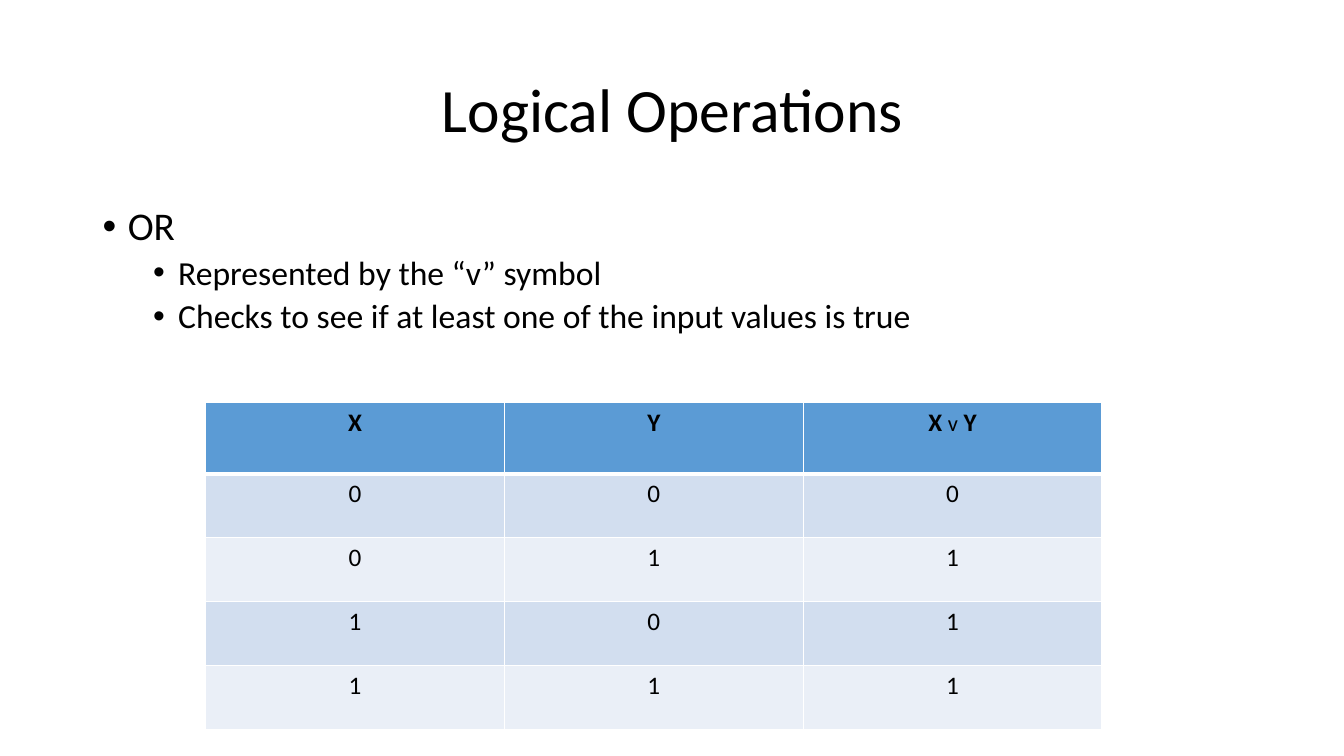
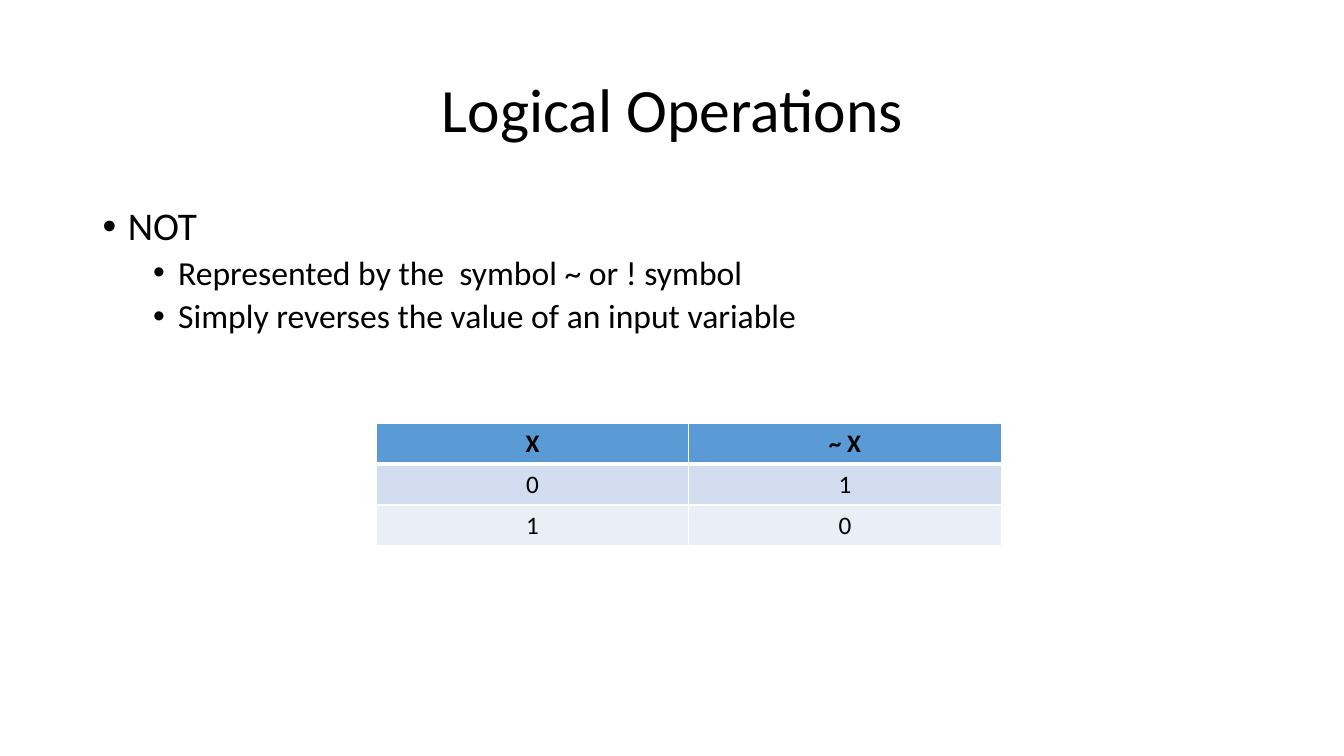
from lxml.etree import SubElement
from pptx import Presentation
from pptx.dml.color import RGBColor
from pptx.enum.text import MSO_ANCHOR, MSO_AUTO_SIZE, PP_ALIGN
from pptx.oxml.ns import qn
from pptx.util import Inches, Pt

FONT = "Calibri"
BLACK, WHITE, BLUE = "000000", "FFFFFF", "5B9BD5"
BANDS = ["D2DEEF", "EAEFF7"]

deck = Presentation()
deck.slide_width, deck.slide_height = Inches(13.33), Inches(7.5)
COL, ROW = deck.slide_width / 100, deck.slide_height / 100
LEFT, WIDE = int(6.9 * COL), int(86.3 * COL)


def tint(fill, color):
    fill.solid()
    fill.fore_color.rgb = RGBColor.from_string(color)


def write(para, text, size=18, bold=False, align=PP_ALIGN.CENTER, line=None, before=0):
    para.alignment = align
    para.line_spacing = line
    para.space_before = Pt(before)
    run = para.add_run()
    run.text = text
    run.font.name, run.font.size, run.font.bold = FONT, Pt(size), bold
    tint(run.font.fill, color=BLACK)


TOPICS = [
    {
        "points": ["OR", "Represented by the “v” symbol",
                   "Checks to see if at least one of the input values is true"],
        "left": 15.3, "top": 53.2, "width": 66.7, "head": 9.47, "row": 8.47,
        "cells": [["X", "Y", "X v Y"], "000", "011", "101", "111"],
    },
    {
        "points": ["NOT", "Represented by the  symbol ~ or ! symbol",
                   "Simply reverses the value of an input variable"],
        "left": 28, "top": 56, "width": 46.5, "head": 5.4, "row": 5.4,
        "cells": [["X", "~ X"], "01", "10"],
    },
]

for topic in TOPICS:
    slide = deck.slides.add_slide(deck.slide_layouts[5])
    title = slide.shapes.title
    title.left, title.top = LEFT, int(5.3 * ROW)
    title.width, title.height = WIDE, int(19.3 * ROW)
    frame = title.text_frame
    frame.auto_size = MSO_AUTO_SIZE.NONE
    frame.vertical_anchor = MSO_ANCHOR.MIDDLE
    write(frame.paragraphs[0], "Logical Operations", size=44, line=0.9)

    body = slide.shapes.add_textbox(LEFT, int(26.7 * ROW), WIDE, int(63.5 * ROW))
    frame = body.text_frame
    frame.word_wrap = True
    for i, point in enumerate(topic["points"]):
        para = frame.add_paragraph() if i else frame.paragraphs[0]
        para.level = 1 if i else 0
        write(para, point, size=24 if i else 28, align=PP_ALIGN.LEFT,
              line=0.9, before=5 if i else 10)
        props = para._p.get_or_add_pPr()
        props.set("marL", str(Inches(0.75 if i else 0.25)))
        props.set("indent", str(Inches(-0.25)))
        SubElement(props, qn("a:buFont"), typeface="Arial")
        SubElement(props, qn("a:buChar"), char="•")

    cells = topic["cells"]
    count = len(cells[0])
    high = topic["head"] + topic["row"] * (len(cells) - 1)
    table = slide.shapes.add_table(
        len(cells), count, int(topic["left"] * COL), int(topic["top"] * ROW),
        int(topic["width"] * COL), int(high * ROW)).table
    for r, values in enumerate(cells):
        table.rows[r].height = int(topic["row" if r else "head"] * ROW)
        for c, value in enumerate(values):
            cell = table.cell(r, c)
            para = cell.text_frame.paragraphs[0]
            start, mark, end = value.partition("v")
            write(para, start, bold=r == 0)
            if mark:
                write(para, mark, size=16)
                write(para, end, bold=True)
            props = cell._tc.get_or_add_tcPr()
            for side in "LRTB":
                thick = (r, side) in [(0, "B"), (1, "T")]
                edge = SubElement(props, qn("a:ln" + side), w=str(Pt(3 if thick else 1)))
                fill = SubElement(edge, qn("a:solidFill"))
                SubElement(fill, qn("a:srgbClr"), val=WHITE)
            tint(cell.fill, color=BANDS[(r - 1) % 2] if r else BLUE)

deck.save("out.pptx")
